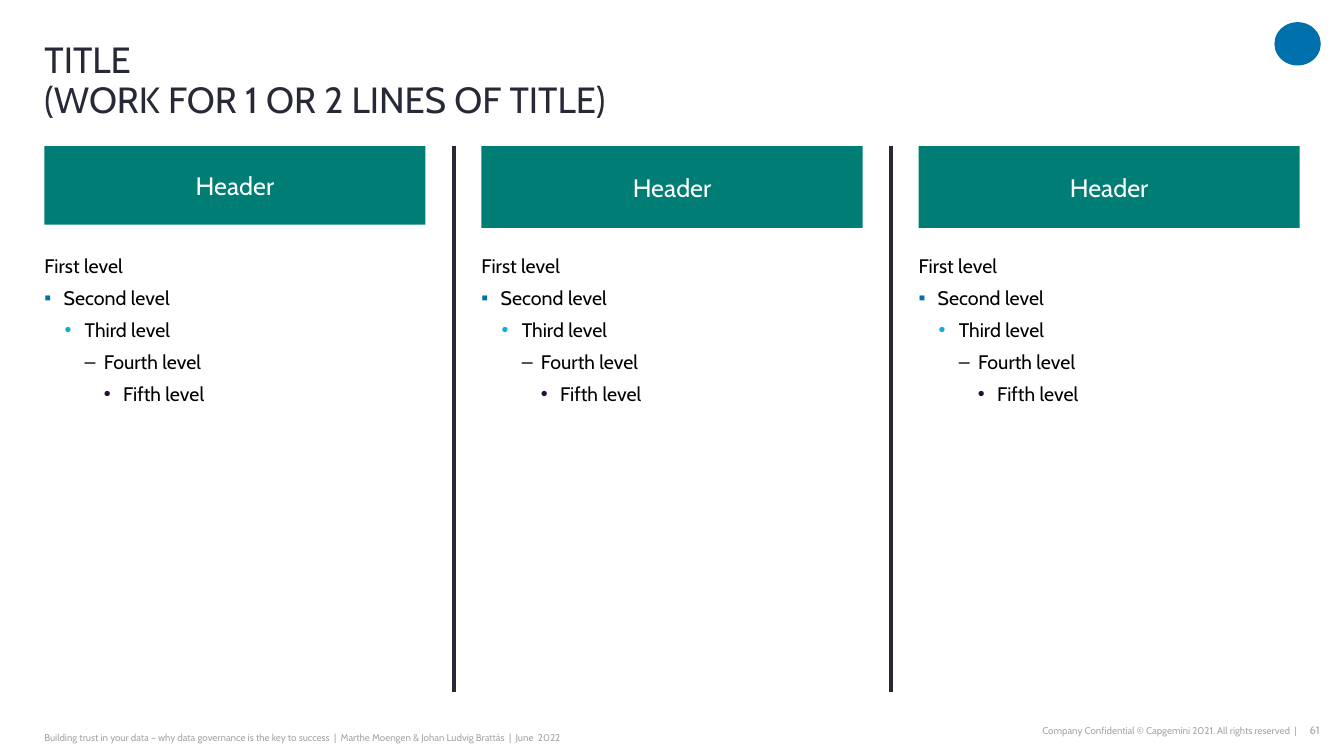
"""Build a three-column slide with headers and five-level lists."""
from lxml import etree
from pptx import Presentation
from pptx.dml.color import RGBColor
from pptx.enum.shapes import MSO_CONNECTOR, MSO_SHAPE
from pptx.enum.text import MSO_ANCHOR, MSO_AUTO_SIZE, PP_ALIGN
from pptx.oxml.ns import qn
from pptx.util import Inches, Pt

STRAIGHT = MSO_CONNECTOR.STRAIGHT
RECTANGLE, OVAL = MSO_SHAPE.RECTANGLE, MSO_SHAPE.OVAL
TOP, MIDDLE, BOTTOM = MSO_ANCHOR.TOP, MSO_ANCHOR.MIDDLE, MSO_ANCHOR.BOTTOM
LEFT, CENTER, RIGHT = PP_ALIGN.LEFT, PP_ALIGN.CENTER, PP_ALIGN.RIGHT
NO_FIT = MSO_AUTO_SIZE.NONE
COMPARISON_LAYOUT = 3 + 1

THEME = {
    "font": "Cabin",
    "title": (26, "272936"),
    "header": (18, "FFFFFF"),
    "list": (14, "000000"),
    "footer": (7, "A6A6A6"),
    "number": (8, "A6A6A6"),
    "header_fill": "007D74",
    "divider": "272936",
    "emblem": "0070AD",
}

TITLE = "TITLE\v(WORK FOR 1 OR 2 LINES OF TITLE)"
COLUMNS = [("Header", 0.78), ("Header", 0.81), ("Header", 0.81)]
LEVELS = [
    ("First level", 0, 0, None, None),
    ("Second level", 0.19, -0.19, "▪", "0070AD"),
    ("Third level", 0.4, -0.2, "•", "12ABDB"),
    ("Fourth level", 0.59, -0.19, "–", "000000"),
    ("Fifth level", 0.78, -0.19, "•", "2B0A3D"),
]
FOOTERS = [
    ("Building trust in your data – why data governance is the key to success  |  "
     "Marthe Moengen & Johan Ludvig Brattås  |  June  2022",
     (0.44, 7.13, 6.07, 0.37), "footer", LEFT, MIDDLE, 0),
    ("61", (12.84, 7.13, 0.25, 0.24), "number", RIGHT, TOP, 0.05),
    ("Company Confidential © Capgemini 2021. All rights reserved  |",
     (7.9, 7.13, 4.96, 0.24), "footer", RIGHT, MIDDLE, 0),
]
FIRST_LEFT, LAST_LEFT, COLUMN_WIDTH = 0.44, 9.11, 3.78
HEADER_TOP, LIST_TOP, LIST_HEIGHT = 1.45, 2.52, 4.46
DIVIDER_GAP, DIVIDER_BOTTOM = 0.28, 6.87


def set_attributes(target, values):
    for name, value in values.items():
        setattr(target, name, value)


def place(shape, box):
    names = ("left", "top", "width", "height")
    set_attributes(shape, dict(zip(names, map(Inches, box))))


def prepare_frame(shape, anchor, inset=0):
    frame = shape.text_frame
    set_attributes(frame, {
        "word_wrap": True, "auto_size": NO_FIT, "vertical_anchor": anchor,
        "margin_left": 0, "margin_right": 0,
        "margin_top": Inches(inset), "margin_bottom": Inches(inset),
    })
    return frame


def write(paragraph, text, style, **paragraph_format):
    paragraph.text = text
    set_attributes(paragraph, {"space_before": Pt(0), **paragraph_format})
    size, color = THEME[style]
    for run in paragraph.runs:
        set_attributes(run.font, {"name": THEME["font"], "size": Pt(size), "bold": False})
        run.font.color.rgb = RGBColor.from_string(color)


def set_bullet(paragraph, margin, indent, symbol, color):
    properties = paragraph._p.get_or_add_pPr()
    properties.set("marL", str(Inches(margin)))
    properties.set("indent", str(Inches(indent)))
    if symbol is None:
        etree.SubElement(properties, qn("a:buNone"))
        return
    bullet_color = etree.SubElement(properties, qn("a:buClr"))
    etree.SubElement(bullet_color, qn("a:srgbClr"), val=color)
    etree.SubElement(properties, qn("a:buFont"), typeface="Arial")
    etree.SubElement(properties, qn("a:buChar"), char=symbol)


def add_solid(slide, kind, box, color):
    shape = slide.shapes.add_shape(kind, *map(Inches, box))
    shape.shadow.inherit = False
    shape.fill.solid()
    shape.fill.fore_color.rgb = RGBColor.from_string(color)
    shape.line.fill.background()
    return shape


def fill_list(placeholder, left):
    place(placeholder, (left, LIST_TOP, COLUMN_WIDTH, LIST_HEIGHT))
    frame = prepare_frame(placeholder, TOP)
    for level, (text, *bullet) in enumerate(LEVELS):
        paragraph = frame.add_paragraph() if level else frame.paragraphs[0]
        write(paragraph, text, "list", level=level, alignment=LEFT, space_after=Pt(6))
        set_bullet(paragraph, *bullet)


def add_divider(slide, x):
    ends = (x, HEADER_TOP, x, DIVIDER_BOTTOM)
    divider = slide.shapes.add_connector(STRAIGHT, *map(Inches, ends))
    divider.line.color.rgb = RGBColor.from_string(THEME["divider"])
    divider.line.width = Pt(3)
    etree.SubElement(divider._element.spPr, qn("a:effectLst"))


def main():
    presentation = Presentation()
    set_attributes(presentation, {"slide_width": Inches(13.33), "slide_height": Inches(7.5)})
    slide = presentation.slides.add_slide(presentation.slide_layouts[COMPARISON_LAYOUT])
    title, *lists, spare = slide.placeholders
    spare._element.getparent().remove(spare._element)

    add_solid(slide, OVAL, (12.64, 0.22, 0.46, 0.43), THEME["emblem"])
    for text, box, style, alignment, anchor, inset in FOOTERS:
        footer = slide.shapes.add_textbox(*map(Inches, box))
        frame = prepare_frame(footer, anchor, inset)
        write(frame.paragraphs[0], text, style, alignment=alignment)

    place(title, (0.44, 0.42, 11.97, 0.78))
    frame = prepare_frame(title, BOTTOM)
    write(frame.paragraphs[0], TITLE, "title", alignment=LEFT, line_spacing=0.9)

    pitch = (LAST_LEFT - FIRST_LEFT) / (len(COLUMNS) - 1)
    for index, (heading, height) in enumerate(COLUMNS):
        left = FIRST_LEFT + index * pitch
        fill_list(lists[index], left)
        header_box = (left, HEADER_TOP, COLUMN_WIDTH, height)
        header = add_solid(slide, RECTANGLE, header_box, THEME["header_fill"])
        frame = prepare_frame(header, MIDDLE)
        write(frame.paragraphs[0], heading, "header", alignment=CENTER, space_after=Pt(6))
        if index < len(COLUMNS) - 1:
            add_divider(slide, left + COLUMN_WIDTH + DIVIDER_GAP)

    presentation.save("out.pptx")


if __name__ == "__main__":
    main()
